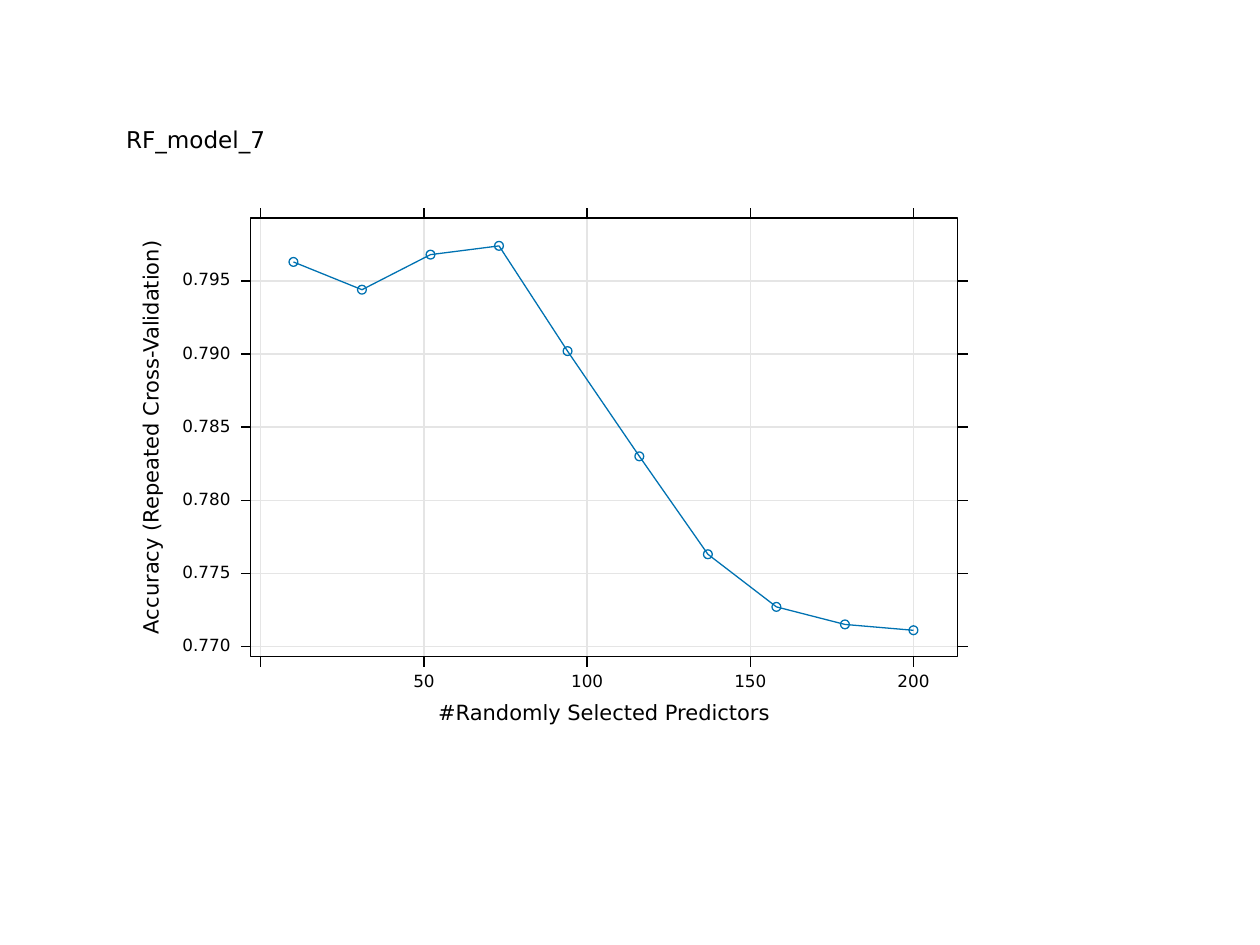
from pptx import Presentation
from pptx import util as u
from pptx.dml.color import RGBColor
from pptx.enum import shapes, text
from pptx.oxml import parse_xml
from pptx.oxml.ns import nsdecls

# Content
TITLE = "RF_model_7"
X_TITLE = "#Randomly Selected Predictors"
Y_TITLE = "Accuracy (Repeated Cross-Validation)"
X_TICKS = [0, 50, 100, 150, 200]
Y_TICKS = [0.770, 0.775, 0.780, 0.785, 0.790, 0.795]
RESULTS = [  # predictors, accuracy
    (10, 0.7963), (31, 0.7944), (52, 0.7968), (73, 0.7974), (94, 0.7902),
    (116, 0.7830), (137, 0.7763), (158, 0.7727), (179, 0.7715), (200, 0.7711),
]

# Style and layout, in inches and points
COLORS = {"paper": "FFFFFF", "ink": "000000", "grid": "E5E5E5", "series": "0072B2"}
FONT = "DejaVu Sans"
LINE_WIDTH = 0.75
LEFT, TOP, RIGHT, BOTTOM = 1.99, 1.73, 7.6, 5.21
TICK = 0.08
MARKER = 0.07
X_ZERO, X_LAST = 2.07, 7.25  # positions of 0 and 200 predictors
Y_BASE, Y_STEP = 5.13, 0.58  # position of 0.770, height of 0.005


def x_at(predictors):
    return X_ZERO + predictors / 200 * (X_LAST - X_ZERO)


def y_at(accuracy):
    return Y_BASE - (accuracy - 0.770) / 0.005 * Y_STEP


def color(name):
    return RGBColor.from_string(COLORS[name])


def set_line(shape, name):
    shape.line.color.rgb = color(name)
    shape.line.width = u.Pt(LINE_WIDTH)


def add_line(page, x1, y1, x2, y2, name):
    line = page.shapes.add_connector(
        shapes.MSO_CONNECTOR.STRAIGHT, *map(u.Inches, (x1, y1, x2, y2)))
    set_line(line, name)
    line.element.spPr.append(parse_xml(f"<a:effectLst {nsdecls('a')}/>"))


def add_outline(page, kind, left, top, width, height, line, fill=None):
    shape = page.shapes.add_shape(kind, *map(u.Inches, (left, top, width, height)))
    shape.shadow.inherit = False
    set_line(shape, line)
    if fill:
        shape.fill.solid()
        shape.fill.fore_color.rgb = color(fill)
    else:
        shape.fill.background()


def write(box, words, size, align):
    frame = box.text_frame
    frame.word_wrap = False
    frame.auto_size = text.MSO_AUTO_SIZE.NONE
    frame.vertical_anchor = text.MSO_ANCHOR.MIDDLE
    frame.margin_left = frame.margin_right = frame.margin_top = frame.margin_bottom = 0
    para = frame.paragraphs[0]
    para.alignment = align
    para.line_spacing = u.Pt(size)
    span = para.add_run()
    span.text = words
    span.font.size = u.Pt(size)
    span.font.name = FONT
    span.font.color.rgb = color("ink")


def add_label(page, words, center_x, center_y, width, height, size,
              align=text.PP_ALIGN.CENTER, rotation=0):
    box = page.shapes.add_textbox(
        u.Inches(center_x - width / 2), u.Inches(center_y - height / 2),
        u.Inches(width), u.Inches(height))
    box.rotation = rotation
    write(box, words, size, align)


def main():
    deck = Presentation()
    deck.slide_width, deck.slide_height = u.Inches(10), u.Inches(7.5)
    page = deck.slides.add_slide(deck.slide_layouts[5])
    rectangle = shapes.MSO_SHAPE.RECTANGLE

    # Panel and axis titles
    add_outline(page, rectangle, 1, 1, 7, 5, "paper", "paper")
    add_label(page, X_TITLE, (LEFT + RIGHT) / 2, 5.67, 2.64, 0.16, 12)
    add_label(page, Y_TITLE, 1.21, (TOP + BOTTOM) / 2, 3.16, 0.16, 12, rotation=270)

    # Ticks and grid lines
    for tick in X_TICKS:
        x = x_at(tick)
        add_line(page, x, TOP, x, TOP - TICK, "ink")
        add_line(page, x, BOTTOM, x, BOTTOM + TICK, "ink")
        add_line(page, x, BOTTOM, x, TOP, "grid")
        if tick:
            add_label(page, str(tick), x, 5.42, 0.085 * len(str(tick)), 0.1, 9.6)
    for tick in Y_TICKS:
        y = y_at(tick)
        add_line(page, LEFT, y, LEFT - TICK, y, "ink")
        add_line(page, RIGHT, y, RIGHT + TICK, y, "ink")
        add_line(page, LEFT, y, RIGHT, y, "grid")
        add_label(page, f"{tick:.3f}", 1.64, y, 0.38, 0.1, 9.6, text.PP_ALIGN.RIGHT)

    # Accuracy markers and curve
    points = [(x_at(predictors), y_at(accuracy)) for predictors, accuracy in RESULTS]
    for x, y in points:
        add_outline(page, shapes.MSO_SHAPE.OVAL, x - MARKER / 2, y - MARKER / 2,
                    MARKER, MARKER, "series")
    corners = [(u.Inches(x), u.Inches(y)) for x, y in points]
    builder = page.shapes.build_freeform(*corners[0])
    builder.add_line_segments(corners[1:], close=False)
    curve = builder.convert_to_shape()
    curve.shadow.inherit = False
    curve.fill.background()
    set_line(curve, "series")

    # Plot frame
    add_outline(page, rectangle, LEFT, TOP, RIGHT - LEFT, BOTTOM - TOP, "ink")

    # Title, brought in front of the panel and wide enough for one line
    title = page.shapes.title
    title.left, title.top = u.Inches(1), u.Inches(1.03)
    title.width, title.height = u.Inches(1.2), u.Inches(0.18)
    write(title, TITLE, 13.2, text.PP_ALIGN.LEFT)
    title.element.getparent().append(title.element)

    deck.save("out.pptx")


if __name__ == "__main__":
    main()
